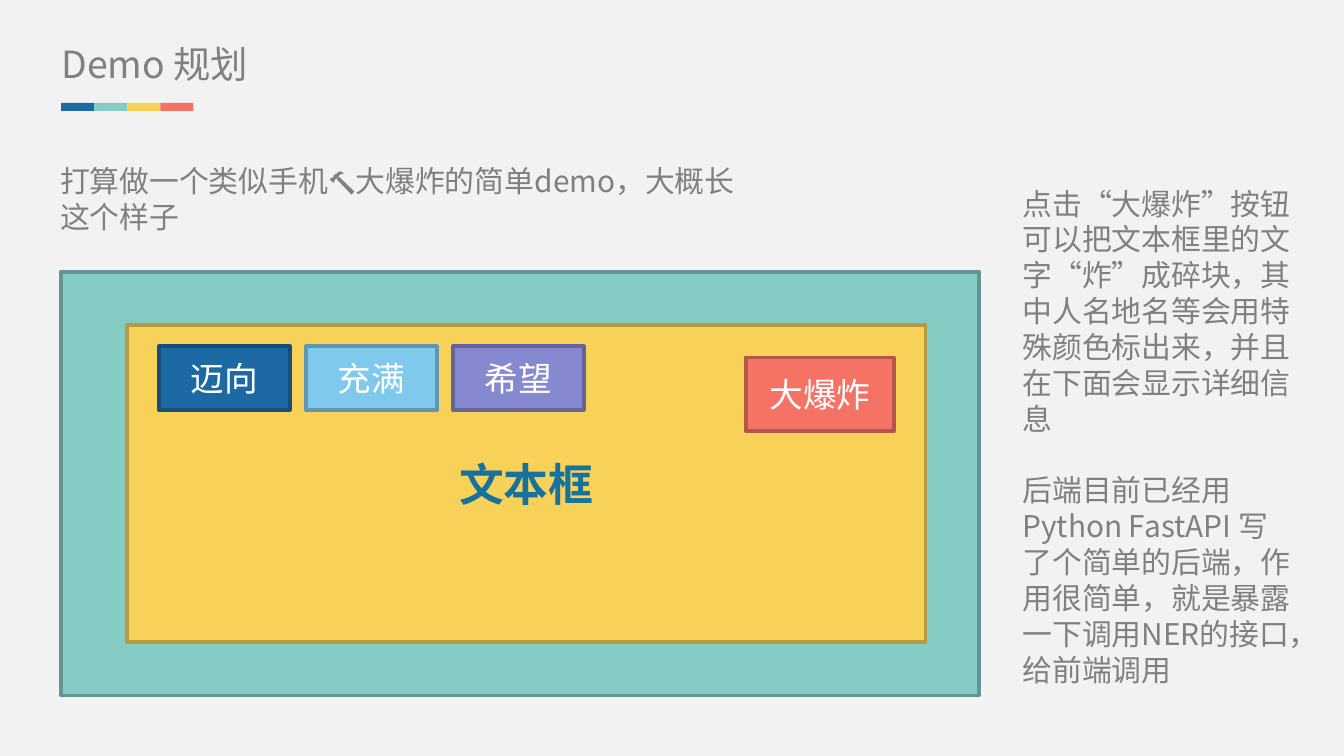
import pptx
import pptx.util
import pptx.dml.color
import pptx.enum.shapes
import pptx.enum.text
import pptx.oxml
import pptx.oxml.ns

CJK = "Noto Sans CJK SC"
BLUE, TEAL, GOLD, RED = "1D69A3", "84CBC3", "F8D158", "F57365"
GREY = "808080"

deck = pptx.Presentation()
deck.slide_width = pptx.util.Inches(10)
deck.slide_height = deck.slide_width * 9 // 16
cell = deck.slide_width / 100  # square grid, 100 columns wide
slide = deck.slides.add_slide(deck.slide_layouts[5])


def paint(part, tone):
    if hasattr(part, "solid"):
        part.solid()
        part = part.fore_color
    part.rgb = pptx.dml.color.RGBColor.from_string(tone)


def write(shape, lines, size, tone, face=CJK, bold=False, center=False):
    frame = shape.text_frame
    frame.word_wrap = True
    frame.text = "\n".join(lines)
    align = pptx.enum.text.PP_ALIGN
    for num, para in enumerate(frame.paragraphs):
        para.alignment = align.CENTER if center else align.LEFT
        if num:
            para.space_before = pptx.util.Pt(19.3)
        para.font.name = face
        para.font.size = pptx.util.Pt(size)
        para.font.bold = bold
        paint(para.font.color, tone)
        # East Asian typeface follows the latin one
        latin = para._p.find(".//" + pptx.oxml.ns.qn("a:latin"))
        latin.addnext(pptx.oxml.parse_xml(
            f'<a:ea {pptx.oxml.ns.nsdecls("a")} typeface="{CJK}"/>'))


paint(slide.background.fill, "F2F2F2")

# Title
title = slide.shapes.title
title.left, title.top, title.width, title.height = [
    int(n * cell) for n in (4.57, 3.04, 30.4, 3.4)]
frame = title.text_frame
frame.margin_left = frame.margin_right = 0
frame.margin_top = frame.margin_bottom = 0
frame.vertical_anchor = pptx.enum.text.MSO_ANCHOR.TOP
write(title, ["Demo 规划"], 20, GREY)

# Text beside and above the mock-up
notes = [
    ((3.5, 11.6, 54.3, 6.4),
     ["打算做一个类似手机🔨大爆炸的简单demo，大概长这个样子"]),
    ((75.1, 13.3, 22.2, 36),
     ["点击“大爆炸”按钮可以把文本框里的文字“炸”成碎块，"
      "其中人名地名等会用特殊颜色标出来，并且在下面会显示详细信息",
      "后端目前已经用Python FastAPI 写了个简单的后端，"
      "作用很简单，就是暴露一下调用NER的接口，给前端调用"]),
]
for area, lines in notes:
    box = slide.shapes.add_textbox(*[int(n * cell) for n in area])
    write(box, lines, 16, GREY)

# Rectangles: area, fill, edge, label
rects = [((4.55 + 2.46 * i, 7.66, 2.46, 0.6), tone, None, "")
         for i, tone in enumerate([BLUE, TEAL, GOLD, RED])]
rects += [
    ((4.55, 20.25, 68.3, 31.5), TEAL, "629690", ""),
    ((9.47, 24.2, 59.4, 23.6), GOLD, "B79B41", "文本框"),
    ((55.5, 26.6, 11, 5.5), RED, "B5554B", "大爆炸"),
]
words = [("迈向", BLUE, "154E79"), ("充满", "7FC9EC", "5E95AF"),
         ("希望", "8689D0", "63659A")]
rects += [((11.83 + 10.94 * i, 25.77, 9.73, 4.73), tone, edge, word)
          for i, (word, tone, edge) in enumerate(words)]

for area, tone, edge, label in rects:
    rect = slide.shapes.add_shape(pptx.enum.shapes.MSO_SHAPE.RECTANGLE,
                                  *[int(n * cell) for n in area])
    rect.shadow.inherit = False
    paint(rect.fill, tone)
    if edge:
        paint(rect.line.fill, edge)
        rect.line.width = pptx.util.Pt(2)
    else:
        rect.line.fill.background()
    if label == "文本框":
        write(rect, [label], 24, "17739E", bold=True, center=True)
    elif label:
        write(rect, [label], 18, "FFFFFF", "Calibri", center=True)

deck.save("out.pptx")
